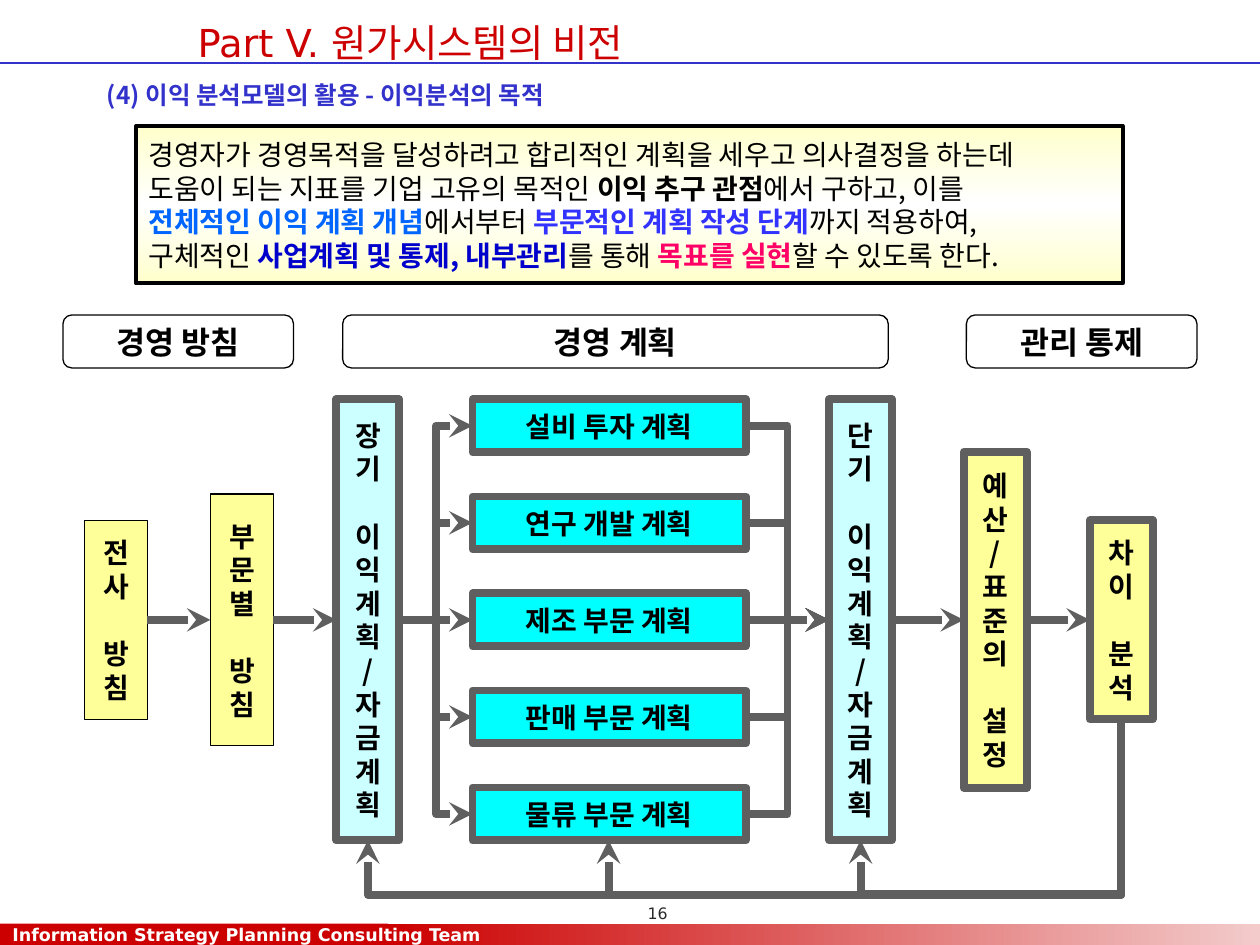
import pptx
import pptx.util
import pptx.dml.color
import pptx.enum.shapes
import pptx.enum.text
import pptx.oxml
import pptx.oxml.ns
from lxml import etree

Inches, Pt = pptx.util.Inches, pptx.util.Pt
KIND = pptx.enum.shapes.MSO_SHAPE
LINK = pptx.enum.shapes.MSO_CONNECTOR
SIDE = pptx.enum.text.PP_ALIGN
HOLD = pptx.enum.text.MSO_ANCHOR
qn = pptx.oxml.ns.qn

HUE = {
    "black": "000000", "white": "FFFFFF", "red": "CC0000", "rose": "F3CBCB",
    "blue": "3333CC", "sky": "0066FF", "iris": "3333FF", "navy": "0000CC",
    "pink": "FF0066", "cream": "FFFFCC", "sand": "FFFF99", "ice": "CCFFFF",
    "aqua": "00FFFF", "gray": "5F5F5F", "ink": "292929",
}
SANS, HANGUL = "DejaVu Sans", "Noto Sans CJK KR"

TITLE = "Part V. 원가시스템의 비전 "
HEAD = "(4) 이익 분석모델의 활용 - 이익분석의 목적"
TEAM = "Information Strategy Planning Consulting Team"
PAGE = "16"
GOAL = [
    [("경영자가 경영목적을 달성하려고 합리적인 계획을 세우고 의사결정을 하는데", None)],
    [("도움이 되는 지표를 기업 고유의 목적인 ", None), ("이익 추구 관점", "black"),
     ("에서 구하고, 이를", None)],
    [("전체적인 이익 계획 개념", "sky"), ("에서부터 ", None),
     ("부문적인 계획 작성 단계", "iris"), ("까지 적용하여,", None)],
    [("구체적인 ", None), ("사업계획 및 통제, 내부관리", "navy"), ("를 통해 ", None),
     ("목표를 실현", "pink"), ("할 수 있도록 한다.", None)],
]
PHASES = [("경영 방침", 0.5, 1.83), ("경영 계획", 2.72, 4.33), ("관리 통제", 7.67, 1.83)]
STEPS = [
    ("전사 방침", 0.67, 1.58, "sand", "black", 0.75),
    ("부문별 방침", 1.67, 2, "sand", "black", 0.75),
    ("장기 이익계획/자금계획", 2.67, 3.5, "ice", "gray", 4.5),
    ("단기 이익계획/자금계획", 6.58, 3.5, "ice", "gray", 4.5),
    ("예산/표준의 설정", 7.65, 2.67, "sand", "gray", 4.5),
    ("차이 분석", 8.65, 1.58, "sand", "gray", 4.5),
]
PLANS = ["설비 투자 계획", "연구 개발 계획", "제조 부문 계획", "판매 부문 계획", "물류 부문 계획"]
BACK = [(6.83, 1.44), (4.83, 1.45), (2.92, 1.45)]

MID, WIDE = 4.92, 0.5
PLAN_X, PLAN_W, PLAN_H, PITCH = 3.75, 2.17, 0.42, 0.77
LEAD = 19.2

deck = pptx.Presentation()
deck.slide_width, deck.slide_height = Inches(10), Inches(7.5)
slide = deck.slides.add_slide(deck.slide_layouts[6])
shapes = slide.shapes


def tint(name):
    return pptx.dml.color.RGBColor.from_string(HUE[name])


def blend(shape, names, angle):
    shape.fill.gradient()
    grad = shape._element.spPr.find(qn("a:gradFill"))
    stops = grad.find(qn("a:gsLst"))
    for stop in list(stops):
        stops.remove(stop)
    for i, name in enumerate(names):
        stop = etree.SubElement(stops, qn("a:gs"), pos=str(100000 * i // (len(names) - 1)))
        etree.SubElement(stop, qn("a:srgbClr"), val=HUE[name])
    grad.find(qn("a:lin")).set("ang", str(angle * 60000))


def box(kind, x, y, w, h, fill=None, edge=None, width=0.75):
    shape = shapes.add_shape(kind, Inches(x), Inches(y), Inches(w), Inches(h))
    shape.shadow.inherit = False
    if fill:
        shape.fill.solid()
        shape.fill.fore_color.rgb = tint(fill)
    if edge:
        shape.line.color.rgb = tint(edge)
        shape.line.width = Pt(width)
    else:
        shape.line.fill.background()
    return shape


def write(shape, lines, size, font=HANGUL, align=SIDE.CENTER, lead=None, wrap=False):
    frame = shape.text_frame
    frame.word_wrap = wrap
    frame.vertical_anchor = HOLD.MIDDLE
    for i, (runs, gap) in enumerate(lines):
        para = frame.add_paragraph() if i else frame.paragraphs[0]
        para.alignment = align
        if lead:
            para.line_spacing = Pt(lead)
        if gap:
            para.space_before = Pt(gap)
        for text, color, bold in runs:
            run = para.add_run()
            run.text = text
            run.font.size, run.font.bold = Pt(size), bold
            run.font.color.rgb = tint(color)
            run.font.name = font
            etree.SubElement(run._r.rPr, qn("a:ea"), typeface=HANGUL)


def label(shape, text, size, color="black", bold=True, **more):
    write(shape, [([(text, color, bold)], 0)], size, **more)


def note(x, y, w, h, text, size, color, bold, **more):
    shape = shapes.add_textbox(Inches(x), Inches(y), Inches(w), Inches(h))
    label(shape, text, size, color, bold, **more)
    shape.text_frame.vertical_anchor = HOLD.TOP
    return shape


def stack(text):
    lines = []
    for word in text.split():
        for i, sign in enumerate(word):
            gap = LEAD if lines and i == 0 else 0
            lines.append(([(sign, "black", True)], gap))
    return lines


def link(kind, x, y, to_x, to_y, color="gray", width=4.5, tip=True):
    wire = shapes.add_connector(kind, Inches(x), Inches(y), Inches(to_x), Inches(to_y))
    wire.line.color.rgb = tint(color)
    wire.line.width = Pt(width)
    if tip:
        etree.SubElement(wire.line._get_or_add_ln(), qn("a:tailEnd"), type="stealth")
    etree.SubElement(wire._element.spPr, qn("a:effectLst"))
    return wire


def loop(x, y, to_x, to_y, bend):
    mid_x, mid_y = (x + to_x) / 2, (y + to_y) / 2
    half_w, half_h = (to_y - y) / 2, (x - to_x) / 2
    wire = link(LINK.ELBOW, mid_x - half_w, mid_y - half_h, mid_x + half_w, mid_y + half_h)
    props = wire._element.spPr
    props.find(qn("a:xfrm")).set("rot", "5400000")
    guides = props.find(qn("a:prstGeom")).find(qn("a:avLst"))
    etree.SubElement(guides, qn("a:gd"), name="adj1", fmla=f"val {round(bend * 100000)}")


blend(box(KIND.RECTANGLE, 3.08, 7.33, 6.92, 0.17), ["red", "rose"], 0)
foot = box(KIND.RECTANGLE, 0, 7.33, 3.08, 0.17, "red")
label(foot, TEAM, 10, "white", font=SANS, align=SIDE.LEFT)
link(LINK.STRAIGHT, 0, 0.5, 10, 0.5, "blue", 0.75, False)
note(1.39, 0.08, 3.8, 0.47, TITLE, 22, "red", False, font=SANS, lead=28)
note(0.75, 0.5, 8.25, 0.33, HEAD, 14, "blue", True, align=SIDE.LEFT, lead=23, wrap=True)

goal = box(KIND.RECTANGLE, 1.08, 1, 7.83, 1.25, edge="black", width=2.25)
blend(goal, ["cream", "white", "cream"], 90)
rows = [([(text, hue or "black", bool(hue)) for text, hue in line], 0) for line in GOAL]
write(goal, rows, 16, align=SIDE.LEFT, lead=LEAD)

for text, x, high, fill, edge, width in STEPS:
    step = box(KIND.RECTANGLE, x, MID - high / 2, WIDE, high, fill, edge, width)
    write(step, stack(text), 16, lead=LEAD)

lefts = [step[1] for step in STEPS]
for i in (0, 1, 3, 4):
    link(LINK.STRAIGHT, lefts[i] + WIDE, MID, lefts[i + 1], MID)

for i, text in enumerate(PLANS):
    y = MID + (i - 2) * PITCH
    plan = box(KIND.RECTANGLE, PLAN_X, y - PLAN_H / 2, PLAN_W, PLAN_H, "aqua", "gray", 4.5)
    label(plan, text, 16)
    kind = LINK.STRAIGHT if y == MID else LINK.ELBOW
    link(kind, lefts[2] + WIDE, MID, PLAN_X, y)
    link(kind, PLAN_X + PLAN_W, y, lefts[3], MID)

for x, bend in BACK:
    loop(8.9, 5.71, x, 6.67, bend)

for text, x, w in PHASES:
    phase = box(KIND.ROUNDED_RECTANGLE, x, 2.5, w, 0.42, "white", "black")
    label(phase, text, 18)

page = note(4.42, 7.12, 1.5, 0.25, PAGE, 9, "ink", False, font=SANS, wrap=True)
page.text_frame.margin_right = 0

deck.save("out.pptx")
